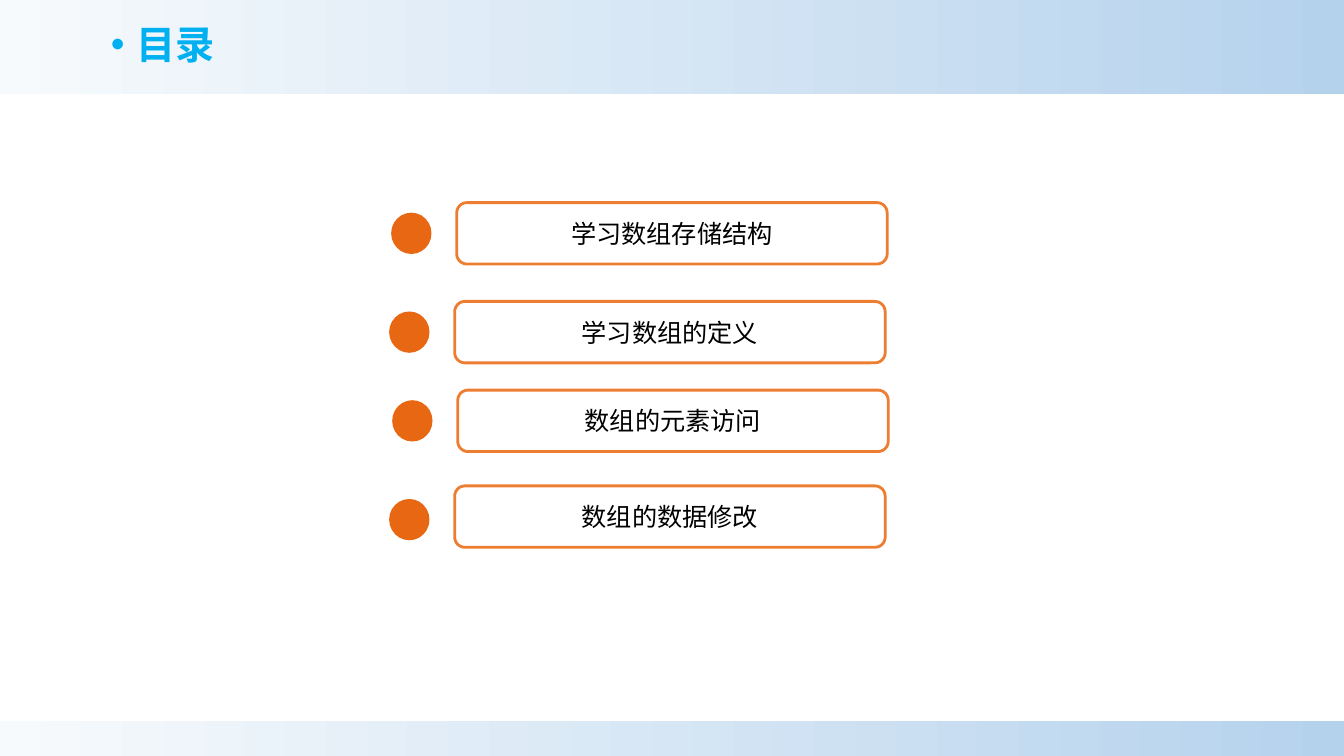
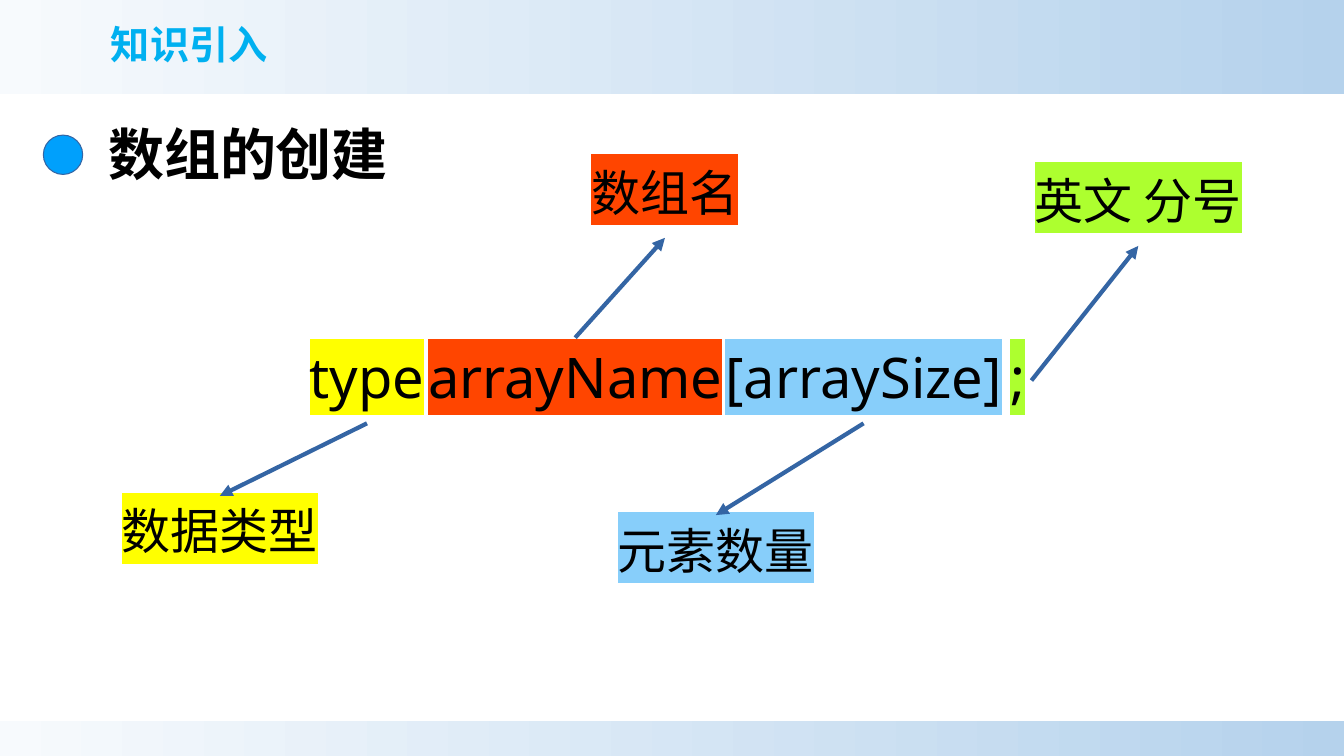
from dataclasses import dataclass

from lxml import etree
from pptx import Presentation
from pptx.dml.color import RGBColor
from pptx.enum.shapes import MSO_CONNECTOR, MSO_SHAPE
from pptx.enum.text import MSO_ANCHOR, MSO_AUTO_SIZE, PP_ALIGN
from pptx.oxml.ns import qn
from pptx.util import Inches, Pt

STRAIGHT = MSO_CONNECTOR.STRAIGHT
RECTANGLE, ROUNDED = MSO_SHAPE.RECTANGLE, MSO_SHAPE.ROUNDED_RECTANGLE
OVAL, DOT = MSO_SHAPE.OVAL, MSO_SHAPE.FLOWCHART_CONNECTOR
TOP, MIDDLE, BOTTOM = MSO_ANCHOR.TOP, MSO_ANCHOR.MIDDLE, MSO_ANCHOR.BOTTOM
LEFT, CENTER = PP_ALIGN.LEFT, PP_ALIGN.CENTER
NO_AUTOSIZE = MSO_AUTO_SIZE.NONE
TOP_SIDE, BOTTOM_SIDE, RIGHT_SIDE = 0, 2, 3
TITLE_ONLY = 5


@dataclass(frozen=True)
class Theme:
    """Colours, fonts and type sizes of the deck."""
    text: str = "000000"
    white: str = "FFFFFF"
    title: str = "00B0F0"
    band_start: str = "F7FAFD"
    band_end: str = "B5D2EC"
    dot: str = "E86713"
    frame: str = "ED7D31"
    marker: str = "00A0FC"
    arrow: str = "3465A4"
    yellow: str = "FFFF00"
    red: str = "FF4500"
    blue: str = "87CEFA"
    green: str = "ADFF2F"
    cjk_font: str = "Noto Sans CJK SC"
    code_font: str = "Noto Sans"
    item_font: str = "Arial"
    item_size: int = 18
    title_size: int = 28
    label_size: int = 35
    large_size: int = 40


class Deck:
    """Holds the style and the slide being drawn."""

    def __init__(self, theme):
        """Start a widescreen deck."""
        self.theme = theme
        self.presentation = Presentation()
        self.presentation.slide_width = Inches(13.33)
        self.presentation.slide_height = Inches(7.5)
        self.page = None

    def add_page(self, title, bullet=False):
        """Start a slide with its title."""
        first = self.page is None
        layout = self.presentation.slide_layouts[TITLE_ONLY]
        self.page = self.presentation.slides.add_slide(layout)
        if first:
            self.add_master_bands()
        box = self.page.shapes.title
        box.left, box.top = Inches(1), Inches(0.2)
        box.width, box.height = Inches(5.34), Inches(0.52)
        para = self.set_text(box, title, self.theme.title_size, self.theme.cjk_font,
                             color=self.theme.title, bold=True, align=LEFT, anchor=BOTTOM)
        para.line_spacing = 0.9
        if bullet:
            properties = para._p.get_or_add_pPr()
            properties.set("marL", str(Inches(0.25)))
            properties.set("indent", str(Inches(-0.25)))
            face = etree.SubElement(properties, qn("a:buFont"))
            face.set("typeface", self.theme.item_font)
            etree.SubElement(properties, qn("a:buChar")).set("char", "•")

    def add_master_bands(self):
        """Put the header and footer bands on the slide master."""
        tree = self.presentation.slide_master.shapes.element
        for index, (top, height) in enumerate([(0, 0.93), (7.15, 0.35)]):
            band = self.add_shape(RECTANGLE, 0, top, 13.33, height)
            band.fill.gradient()
            band.fill.gradient_angle = 0
            colors = (self.theme.band_start, self.theme.band_end)
            for stop, color in zip(band.fill.gradient_stops, colors):
                stop.color.rgb = RGBColor.from_string(color)
            band.element.nvSpPr.cNvPr.set("id", str(20 + index))
            tree.insert(2 + index, band.element)

    def add_shape(self, kind, left, top, width, height, fill=None, line=None, weight=0):
        """Add a preset shape without a shadow."""
        shape = self.page.shapes.add_shape(
            kind, Inches(left), Inches(top), Inches(width), Inches(height))
        shape.shadow.inherit = False
        if fill:
            shape.fill.solid()
            shape.fill.fore_color.rgb = RGBColor.from_string(fill)
        if line:
            shape.line.color.rgb = RGBColor.from_string(line)
            shape.line.width = Pt(weight)
        else:
            shape.line.fill.background()
        return shape

    def add_item(self, text, left, top, dot_top):
        """Add a framed contents entry with its dot."""
        self.add_shape(DOT, left - 0.65, dot_top, 0.4, 0.41, self.theme.dot)
        box = self.add_shape(ROUNDED, left, top, 4.27, 0.61,
                             self.theme.white, self.theme.frame, 2)
        self.set_text(box, text, self.theme.item_size, self.theme.item_font, anchor=MIDDLE)

    def add_text(self, text, left, top, width, height, size, font, **style):
        """Add a text box."""
        box = self.page.shapes.add_textbox(
            Inches(left), Inches(top), Inches(width), Inches(height))
        self.set_text(box, text, size, font, **style)
        return box

    def add_code(self, text, left, width, highlight, align=CENTER):
        """Add one part of the code line."""
        return self.add_text(text, left, 3.35, width, 0.85, self.theme.large_size,
                             self.theme.code_font, highlight=highlight, align=align)

    def add_label(self, text, left, top, width, highlight):
        """Add a highlighted explanation."""
        return self.add_text(text, left, top, width, 0.8, self.theme.label_size,
                             self.theme.cjk_font, highlight=highlight)

    def add_arrow(self, source, source_side, target, target_side):
        """Join two boxes with a straight arrow."""
        arrow = self.page.shapes.add_connector(STRAIGHT, 0, 0, 0, 0)
        arrow.begin_connect(source, source_side)
        arrow.end_connect(target, target_side)
        arrow.line.color.rgb = RGBColor.from_string(self.theme.arrow)
        arrow.line.width = Pt(3)
        properties = arrow.element.spPr
        outline = properties.find(qn("a:ln"))
        etree.SubElement(outline, qn("a:tailEnd")).set("type", "triangle")
        etree.SubElement(properties, qn("a:effectLst"))

    def set_text(self, box, text, size, font, color=None, bold=False,
                 highlight=None, align=CENTER, anchor=TOP):
        """Put one formatted run into a shape and return its paragraph."""
        frame = box.text_frame
        frame.word_wrap = True
        frame.auto_size = NO_AUTOSIZE
        frame.vertical_anchor = anchor
        para = frame.paragraphs[0]
        para.alignment = align
        span = para.add_run()
        span.text = text
        span.font.size = Pt(size)
        span.font.bold = bold
        span.font.name = font
        span.font.color.rgb = RGBColor.from_string(color or self.theme.text)
        properties = span._r.get_or_add_rPr()
        east_asian = etree.Element(qn("a:ea"))
        east_asian.set("typeface", self.theme.cjk_font)
        properties.find(qn("a:latin")).addnext(east_asian)
        if highlight:
            marking = etree.Element(qn("a:highlight"))
            etree.SubElement(marking, qn("a:srgbClr")).set("val", highlight)
            properties.find(qn("a:solidFill")).addnext(marking)
        return para


def draw_contents(deck):
    """Draw the contents slide."""
    deck.add_page("目录", bullet=True)
    items = [
        ("学习数组存储结构", 4.53, 2.01, 2.11),
        ("学习数组的定义", 4.51, 2.99, 3.09),
        ("数组的元素访问", 4.54, 3.87, 3.97),
        ("数组的数据修改", 4.51, 4.82, 4.95),
    ]
    for item in items:
        deck.add_item(*item)


def draw_declaration(deck):
    """Draw the array declaration and its explanations."""
    theme = deck.theme
    deck.add_page("知识引入")
    deck.add_shape(OVAL, 0.43, 1.34, 0.39, 0.39, theme.marker, theme.arrow)
    deck.add_text("数组的创建", 0.79, 1.14, 3.34, 0.75, theme.large_size,
                  theme.cjk_font, bold=True)
    size_code = deck.add_code("[arraySize]", 7.09, 2.95, theme.blue)
    type_code = deck.add_code("type", 2.95, 1.38, theme.yellow)
    name_code = deck.add_code("arrayName", 4.13, 3.15, theme.red)
    end_code = deck.add_code(";", 9.92, 0.31, theme.green, LEFT)
    type_label = deck.add_label("数据类型", 1.1, 4.92, 2.16, theme.yellow)
    name_label = deck.add_label("数组名", 5.71, 1.56, 1.77, theme.red)
    size_label = deck.add_label("元素数量", 6.02, 5.11, 2.16, theme.blue)
    end_label = deck.add_label("英文 分号", 10.16, 1.64, 2.26, theme.green)
    deck.add_arrow(type_code, BOTTOM_SIDE, type_label, TOP_SIDE)
    deck.add_arrow(name_code, TOP_SIDE, name_label, BOTTOM_SIDE)
    deck.add_arrow(size_code, BOTTOM_SIDE, size_label, TOP_SIDE)
    deck.add_arrow(end_code, RIGHT_SIDE, end_label, BOTTOM_SIDE)


def main():
    """Build and save the deck."""
    deck = Deck(Theme())
    draw_contents(deck)
    draw_declaration(deck)
    deck.presentation.save("out.pptx")


if __name__ == "__main__":
    main()
